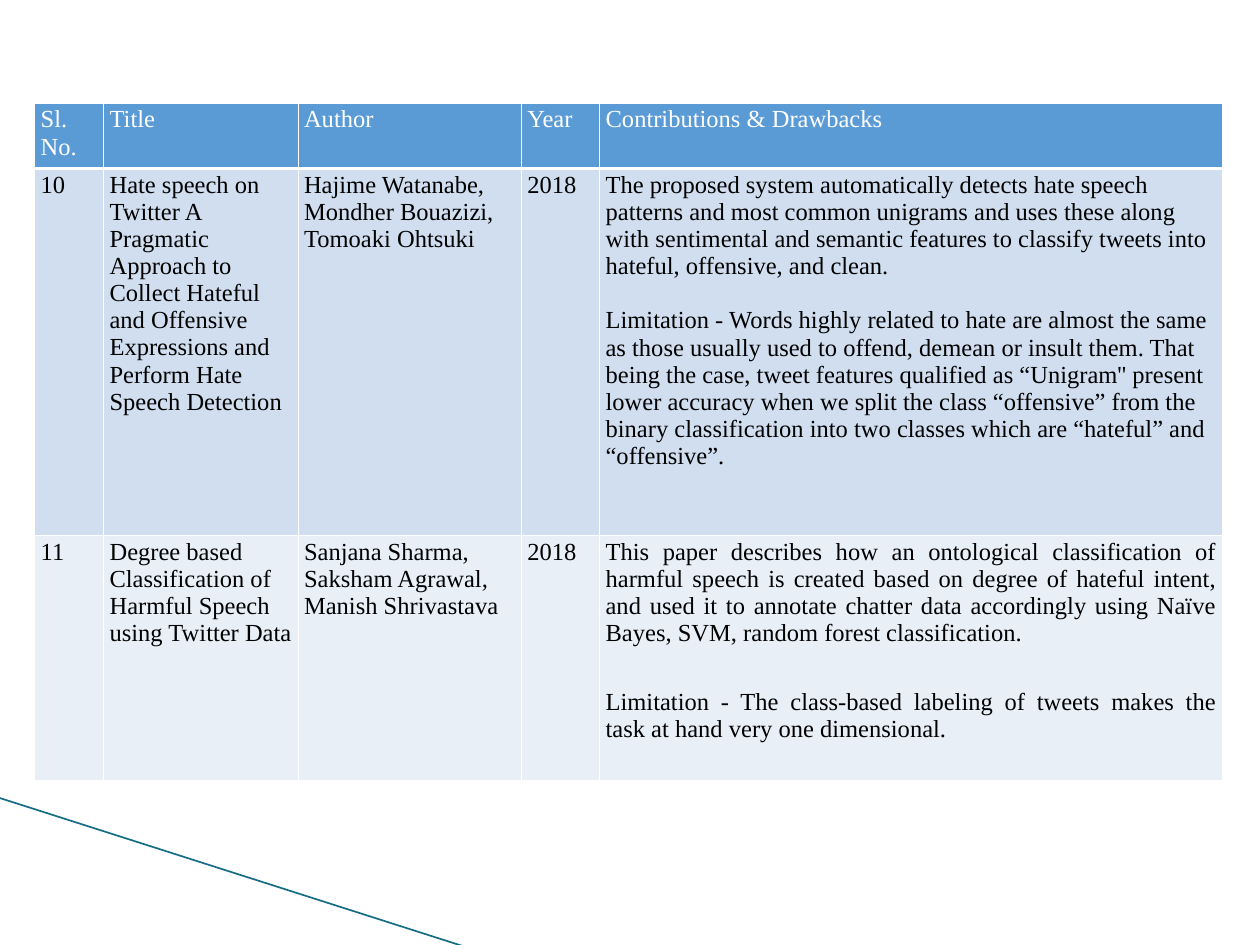
import pptx
import pptx.util
import pptx.dml.color
import pptx.enum.shapes
import pptx.enum.text
import pptx.oxml.ns
import lxml.etree

Cm = pptx.util.Cm
Pt = pptx.util.Pt
RGB = pptx.dml.color.RGBColor
qn = pptx.oxml.ns.qn

WHITE = RGB(0xFF, 0xFF, 0xFF)
BLACK = RGB(0, 0, 0)
TEAL = RGB(0x15, 0x6D, 0x83)
BLUE = RGB(0x5B, 0x9B, 0xD5)
LIGHT = RGB(0xD0, 0xDE, 0xEF)
PALE = RGB(0xE9, 0xEF, 0xF7)

LEFT = pptx.enum.text.PP_ALIGN.LEFT
JUST = pptx.enum.text.PP_ALIGN.JUSTIFY

WIDTHS = [1.39, 3.92, 4.5, 1.58, 12.56]
HEIGHTS = [1.32, 7.39, 4.95]
FILLS = [BLUE, LIGHT, PALE]
INKS = [WHITE, BLACK, BLACK]
EDGES = [(0.75, 2), (2, 0.75), (0.75, 0.75)]
GAPS = [0, 15.5, 24]

ROWS = [
    ["Sl. No.", "Title", "Author", "Year", "Contributions & Drawbacks"],
    [
        "10",
        "Hate speech on Twitter A Pragmatic Approach to Collect Hateful and "
        "Offensive Expressions and Perform Hate Speech Detection",
        "Hajime Watanabe, Mondher Bouazizi, Tomoaki Ohtsuki",
        "2018",
        "The proposed system automatically detects hate speech patterns and "
        "most common unigrams and uses these along with sentimental and "
        "semantic features to classify tweets into hateful, offensive, and "
        "clean.\n"
        "Limitation - Words highly related to hate are almost the same as "
        "those usually used to offend, demean or insult them. That being the "
        "case, tweet features qualified as “Unigram'' present lower accuracy "
        "when we split the class “offensive” from the binary classification "
        "into two classes which are “hateful” and “offensive”.",
    ],
    [
        "11",
        "Degree based Classification of Harmful Speech using Twitter Data",
        "Sanjana Sharma, Saksham Agrawal, Manish Shrivastava",
        "2018",
        "This paper describes how an ontological classification of harmful "
        "speech is created based on degree of hateful intent, and used it to "
        "annotate chatter data accordingly using Naïve Bayes, SVM, random "
        "forest classification.\n"
        "Limitation - The class-based labeling of tweets makes the task at "
        "hand very one dimensional.",
    ],
]

INSET = {
    "margin_left": Cm(0.12),
    "margin_right": Cm(0.12),
    "margin_top": Cm(0.06),
    "margin_bottom": Cm(0.06),
}
FONT = {"name": "Times New Roman", "size": Pt(14), "bold": False}


def edge(cell, side, width):
    line = lxml.etree.SubElement(
        cell._tc.get_or_add_tcPr(), qn("a:" + side), w=str(Pt(width))
    )
    fill = lxml.etree.SubElement(line, qn("a:solidFill"))
    lxml.etree.SubElement(fill, qn("a:srgbClr"), val=str(WHITE))


deck = pptx.Presentation()
deck.slide_width = Cm(25.4)
deck.slide_height = Cm(19.05)
slide = deck.slides.add_slide(deck.slide_layouts[6])

slope = slide.shapes.add_connector(
    pptx.enum.shapes.MSO_CONNECTOR.STRAIGHT,
    Cm(-0.03), Cm(16.08), Cm(9.42), Cm(19.1),
)
slope.line.color.rgb = TEAL
slope.line.width = Pt(0.95)
lxml.etree.SubElement(slope._element.spPr, qn("a:effectLst"))

table = slide.shapes.add_table(
    len(ROWS), len(WIDTHS), Cm(0.7), Cm(2.08),
    Cm(sum(WIDTHS)), Cm(sum(HEIGHTS)),
).table
for col, width in zip(table.columns, WIDTHS):
    col.width = Cm(width)
for row, height in zip(table.rows, HEIGHTS):
    row.height = Cm(height)

for r, texts in enumerate(ROWS):
    for c, text in enumerate(texts):
        cell = table.cell(r, c)
        top, base = EDGES[r]
        for side, width in zip(("lnL", "lnR", "lnT", "lnB"), (0.75, 0.75, top, base)):
            edge(cell, side, width)
        cell.fill.solid()
        cell.fill.fore_color.rgb = FILLS[r]
        for key, value in INSET.items():
            setattr(cell, key, value)
        cell.text = text
        for n, para in enumerate(cell.text_frame.paragraphs):
            para.alignment = JUST if (r, c) == (2, 4) else LEFT
            if n:
                para.space_before = Pt(GAPS[r])
            for run in para.runs:
                for key, value in FONT.items():
                    setattr(run.font, key, value)
                run.font.color.rgb = INKS[r]

deck.save("out.pptx")
